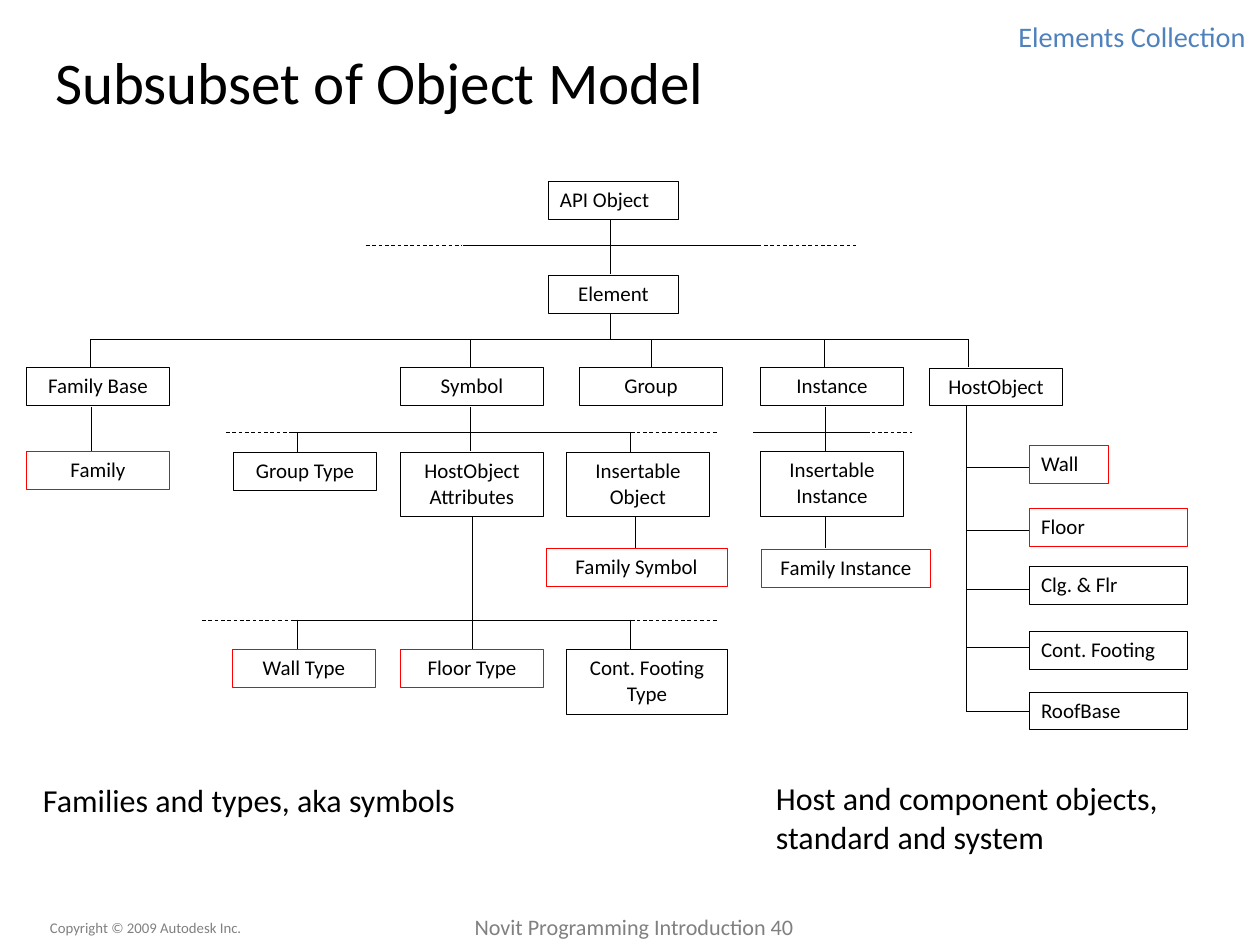
from dataclasses import dataclass

from lxml import etree
from pptx import Presentation
from pptx import util as u
from pptx.dml.color import RGBColor
from pptx.enum import dml, shapes, text
from pptx.oxml.ns import qn


@dataclass(frozen=True)
class Theme:
    font: str = "Calibri"
    ink: str = "000000"
    key: str = "FF0000"
    accent: str = "4F81BD"
    muted: str = "808080"
    title: int = 48
    caption: int = 26
    section: int = 23
    footer: int = 18
    box: int = 17
    copyright: int = 12
    rule: float = 0.75


T = Theme()
EMU_PER_PX = 10320
SLIDE = (1260, 945)
LEFT, CENTER, RIGHT = text.PP_ALIGN.LEFT, text.PP_ALIGN.CENTER, text.PP_ALIGN.RIGHT
WIDE, LOW, TALL = 144, 39, 65

TITLE = ("Subsubset of Object Model", (43, 40, 1147, 82))

CLASSES = [
    ("Element", 548, 275, 131, LOW, T.ink),
    ("Family Base", 26, 367, WIDE, LOW, T.ink),
    ("Symbol", 400, 367, WIDE, LOW, T.ink),
    ("Group", 579, 367, WIDE, LOW, T.ink),
    ("Instance", 760, 367, WIDE, LOW, T.ink),
    ("HostObject", 929, 368, 134, 38, T.ink),
    ("Family", 26, 451, WIDE, LOW, T.key),
    ("Group Type", 233, 452, WIDE, LOW, T.ink),
    ("HostObject Attributes", 400, 452, WIDE, TALL, T.ink),
    ("Insertable Object", 566, 452, WIDE, TALL, T.ink),
    ("Insertable Instance", 760, 451, WIDE, TALL, T.ink),
    ("Family Symbol", 546, 548, 181, LOW, T.key),
    ("Family Instance", 761, 549, 170, 38, T.key),
    ("Wall Type", 232, 649, WIDE, LOW, T.key),
    ("Floor Type", 400, 649, WIDE, LOW, T.key),
    ("Cont. Footing Type", 566, 649, 162, TALL, T.ink),
]
LEFT_CLASSES = [
    ("API Object", 548, 181, 131, LOW, T.ink),
    ("Wall", 1029, 445, 79, LOW, T.key),
    ("Floor", 1029, 508, 158, LOW, T.key),
    ("Clg. & Flr", 1029, 566, 158, LOW, T.ink),
    ("Cont. Footing", 1029, 631, 158, LOW, T.ink),
    ("RoofBase", 1029, 692, 158, 38, T.ink),
]

BUSES = [
    (245, 463, 761), (339, 90, 968), (432, 293, 635),
    (432, 753, 870), (620, 293, 635),
]
MORE_CLASSES = [
    (245, 366, 462), (245, 764, 859), (432, 226, 295), (432, 624, 719),
    (432, 859, 912), (620, 202, 297), (620, 624, 719),
]
DROPS = [
    (220, 274, [610]),
    (314, 339, [610]),
    (339, 367, [90, 470, 651, 824, 968]),
    (407, 451, [91, 470, 825]),
    (432, 452, [297, 630]),
    (517, 548, [635, 825]),
    (517, 649, [472]),
    (620, 649, [297, 630]),
    (406, 711, [966]),
]
HOST_X, HOST_KIDS_X = 966, 1029
HOST_BRANCHES = [467, 530, 589, 647, 711]

LABELS = [
    ("Elements Collection", (968, 19, 278, 35), T.section, T.accent, RIGHT, (0, 0)),
    ("Families and types, aka symbols", (34, 777, 489, 48), T.caption, T.ink, LEFT, (9, 4)),
    ("Host and component objects, standard and system", (767, 775, 408, 87),
     T.caption, T.ink, LEFT, (9, 4)),
    ("Novit Programming Introduction 40", (443, 909, 382, 36), T.footer, T.muted, CENTER, (9, 4)),
    ("Copyright © 2009 Autodesk Inc.", (41, 915, 237, 27), T.copyright, T.muted, LEFT, (9, 4)),
]


def px(*lengths):
    return [u.Emu(round(n * EMU_PER_PX)) for n in lengths]


def write(sp, words, size, color, align, inset, anchor=text.MSO_ANCHOR.TOP):
    tf = sp.text_frame
    tf.word_wrap = True
    tf.auto_size = text.MSO_AUTO_SIZE.NONE
    tf.vertical_anchor = anchor
    tf.margin_left, tf.margin_top = tf.margin_right, tf.margin_bottom = px(*inset)
    p = tf.paragraphs[0]
    p.text = words
    p.alignment = align
    p.font.name, p.font.size = T.font, u.Pt(size)
    p.font.color.rgb = RGBColor.from_string(color)


def add_class(s, words, x, y, w, h, color, align):
    sp = s.shapes.add_shape(shapes.MSO_SHAPE.RECTANGLE, *px(x, y, w, h))
    sp.shadow.inherit = False
    sp.fill.background()
    sp.line.color.rgb = RGBColor.from_string(color)
    sp.line.width = u.Pt(T.rule)
    write(sp, words, T.box, T.ink, align, (12, 6))
    sides = [(x + w / 2, y), (x, y + h / 2), (x + w / 2, y + h), (x + w, y + h / 2)]
    return sp, sides


def join(connect, x, y, boxes):
    for sp, sides in boxes:
        for site, (sx, sy) in enumerate(sides):
            if abs(sx - x) <= 1 and abs(sy - y) <= 1:
                connect(sp, site)


def add_line(s, x1, y1, x2, y2, boxes, dashed=False):
    c = s.shapes.add_connector(shapes.MSO_CONNECTOR.STRAIGHT, *px(x1, y1, x2, y2))
    c.line.color.rgb = RGBColor.from_string(T.ink)
    c.line.width = u.Pt(T.rule)
    if dashed:
        c.line.dash_style = dml.MSO_LINE.DASH
    etree.SubElement(c._element.spPr, qn("a:effectLst"))
    join(c.begin_connect, x1, y1, boxes)
    join(c.end_connect, x2, y2, boxes)


def main():
    prs = Presentation()
    prs.slide_width, prs.slide_height = px(*SLIDE)
    s = prs.slides.add_slide(prs.slide_layouts.get_by_name("Title Only"))

    title, frame = TITLE
    sp = s.shapes.title
    sp.left, sp.top, sp.width, sp.height = px(*frame)
    write(sp, title, T.title, T.ink, LEFT, (12, 6), text.MSO_ANCHOR.MIDDLE)

    boxes = [add_class(s, *item, CENTER) for item in CLASSES]
    boxes += [add_class(s, *item, LEFT) for item in LEFT_CLASSES]

    for y, x1, x2 in BUSES:
        add_line(s, x1, y, x2, y, boxes)
    for y, x1, x2 in MORE_CLASSES:
        add_line(s, x1, y, x2, y, boxes, dashed=True)
    for y1, y2, columns in DROPS:
        for x in columns:
            add_line(s, x, y1, x, y2, boxes)
    for y in HOST_BRANCHES:
        add_line(s, HOST_X, y, HOST_KIDS_X, y, boxes)

    for words, frame, size, color, align, inset in LABELS:
        sp = s.shapes.add_textbox(*px(*frame))
        write(sp, words, size, color, align, inset)

    prs.save("out.pptx")


if __name__ == "__main__":
    main()
